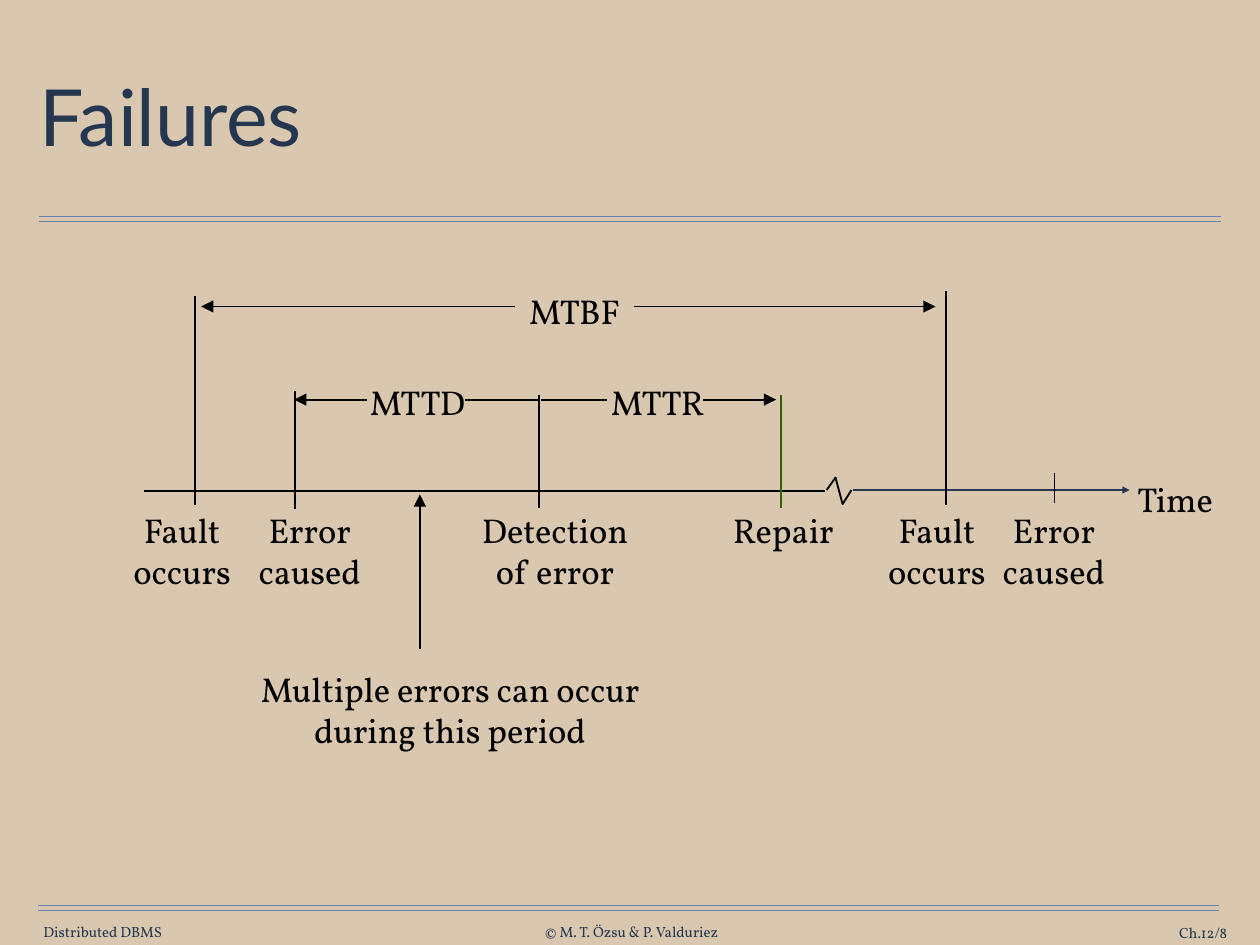
from lxml.etree import SubElement
from pptx import Presentation
from pptx.dml.color import RGBColor
from pptx.enum.text import MSO_ANCHOR, MSO_AUTO_SIZE, PP_ALIGN
from pptx.oxml.ns import qn
from pptx.util import Inches, Pt

# Square grid: 64 columns by 48 rows
COLUMNS, ROWS = 64, 48
WIDTH, HEIGHT = Inches(14.22), Inches(10.67)

COLORS = {
    "paper": "D9C8AF",
    "title": "253750",
    "navy": "263750",
    "rule": "6682AA",
    "ink": "000000",
    "repair": "316501",
}

TITLE_FONT = {"name": "Lato", "size": Pt(64)}
LABEL_FONT = {"name": "Vollkorn", "size": Pt(28)}
FOOTER_FONT = {"name": "Vollkorn", "size": Pt(12)}

TITLE_PARA = {"alignment": PP_ALIGN.LEFT, "line_spacing": 0.9}
CENTERED = {"alignment": PP_ALIGN.CENTER}
RIGHT = {"alignment": PP_ALIGN.RIGHT}

TITLE_FRAME = {"vertical_anchor": MSO_ANCHOR.MIDDLE, "word_wrap": True}
LABEL_FRAME = {"word_wrap": False, "auto_size": MSO_AUTO_SIZE.SHAPE_TO_FIT_TEXT}
FOOTER_FRAME = {**LABEL_FRAME, "vertical_anchor": MSO_ANCHOR.MIDDLE}

AXIS = 24.89
LABEL_TOP = 25.52
MTBF_ROW, REPAIR_ROW = 15.57, 20.3
LINE_ROWS = {1: 2.75, 2: 4.86}


def col(count):
    return round(WIDTH * count / COLUMNS)


def row(count):
    return round(HEIGHT * count / ROWS)


def color(name):
    return RGBColor.from_string(COLORS[name])


def apply(target, values):
    for name, value in values.items():
        setattr(target, name, value)


def write(box, text, frame_format, insets, para_format, font, ink):
    """Fill a box with text; insets are the side and the top/bottom margin."""
    frame = box.text_frame
    side, end = map(Inches, insets)
    margins = {"margin_left": side, "margin_right": side,
               "margin_top": end, "margin_bottom": end}
    apply(frame, {**frame_format, **margins})
    frame.text = text
    for para in frame.paragraphs:
        apply(para, para_format)
        for span in para.runs:
            apply(span.font, font)
            span.font.color.rgb = color(ink)


def add_title(page, text):
    title = page.shapes.title
    apply(title, {"left": col(1.76), "top": row(2.2),
                  "width": col(60.48), "height": row(7.92)})
    write(title, text, TITLE_FRAME, (0.06, 0.06), TITLE_PARA, TITLE_FONT, "title")


def add_label(page, text, center, top, width):
    height = LINE_ROWS[len(text.split("\n"))]
    box = page.shapes.add_textbox(col(center - width / 2), row(top),
                                  col(width), row(height))
    write(box, text, LABEL_FRAME, (0.14, 0.07), CENTERED, LABEL_FONT, "ink")


def add_footer(page, text, left, top, width, para_format=CENTERED, wrap=False):
    box = page.shapes.add_textbox(col(left), row(top), col(width), row(0.9))
    write(box, text, {**FOOTER_FRAME, "word_wrap": wrap}, (0, 0),
          para_format, FOOTER_FONT, "navy")


def add_line(page, start, end, ink="ink", weight=1.5, head=None):
    """Draw a line between grid points; head is the arrowhead size at its end."""
    line = page.shapes.add_connector(1, col(start[0]), row(start[1]),
                                     col(end[0]), row(end[1]))
    line.line.color.rgb = color(ink)
    line.line.width = Pt(weight)
    properties = line.element.spPr
    if head:
        SubElement(properties.find(qn("a:ln")), qn("a:tailEnd"),
                   type="triangle", w=head, len=head)
    SubElement(properties, qn("a:effectLst"))


def add_double_rule(page, left, right, top):
    for level in (top, top + 0.27):
        add_line(page, (left, level), (right, level), "rule", 1)


def add_axis_break(page):
    points = [(col(x), row(y)) for x, y in
              [(41.99, AXIS), (42.44, 24.26), (42.8, 25.61), (43.25, AXIS)]]
    builder = page.shapes.build_freeform(*points[0], scale=1.0)
    builder.add_line_segments(points[1:], close=False)
    zigzag = builder.convert_to_shape()
    zigzag.shadow.inherit = False
    zigzag.fill.background()
    zigzag.line.color.rgb = color("ink")
    zigzag.line.width = Pt(1.5)


def add_timeline(page):
    add_line(page, (7.34, 24.93), (41.9, 24.93))
    add_axis_break(page)
    add_line(page, (43.34, AXIS), (57.38, AXIS), "navy", head="med")
    for x, top, bottom, ink, weight in [
        (9.9, 15.03, 25.65, "ink", 1.5),
        (14.99, 19.85, 25.88, "ink", 1.5),
        (27.4, 20.07, 25.79, "ink", 1.5),
        (39.69, 20.07, 25.79, "repair", 1.5),
        (48.06, 14.76, 25.65, "ink", 1.5),
        (53.55, 24.03, 25.56, "ink", 1),
    ]:
        add_line(page, (x, bottom), (x, top), ink, weight)
    for text, center, width in [
        ("Fault\noccurs", 9.25, 6.35),
        ("Error\ncaused", 15.73, 6.7),
        ("Detection\nof error", 28.19, 8.78),
        ("Repair", 39.78, 6.48),
        ("Fault\noccurs", 47.59, 6.35),
        ("Error\ncaused", 53.53, 6.7),
    ]:
        add_label(page, text, center, LABEL_TOP, width)
    add_label(page, "Time", 59.69, 23.99, 5.18)


def add_periods(page):
    for start, end, level, head in [
        (26.15, 10.22, MTBF_ROW, "lg"),
        (32.22, 47.52, MTBF_ROW, "lg"),
        (18.63, 14.94, REPAIR_ROW, "lg"),
        (23.63, 27.32, REPAIR_ROW, None),
        (30.83, 27.5, REPAIR_ROW, None),
        (35.73, 39.42, REPAIR_ROW, "lg"),
    ]:
        add_line(page, (start, level), (end, level), head=head)
    add_label(page, "MTBF", 29.18, 14.4, 6.08)
    add_label(page, "MTTD", 21.2, 19.04, 6.48)
    add_label(page, "MTTR", 33.41, 19.04, 6.35)
    add_line(page, (21.33, 32.99), (21.33, 25.11), head="lg")
    add_label(page, "Multiple errors can occur\nduring this period",
              22.86, 33.62, 20.97)


def main():
    deck = Presentation()
    deck.slide_width, deck.slide_height = WIDTH, HEIGHT
    page = deck.slides.add_slide(deck.slide_layouts[5])
    page.background.fill.solid()
    page.background.fill.fore_color.rgb = color("paper")

    add_double_rule(page, 1.98, 62.01, 10.98)
    add_double_rule(page, 1.94, 61.92, 45.99)
    add_footer(page, "Distributed DBMS", 2.12, 46.85, 6.21)
    add_footer(page, "© M. T. Özsu & P. Valduriez", 27.4, 46.85, 9.36)
    add_footer(page, "Ch.12/8", 55.4, 46.93, 6.93, RIGHT, wrap=True)
    add_title(page, "Failures")
    add_timeline(page)
    add_periods(page)
    deck.save("out.pptx")


if __name__ == "__main__":
    main()
